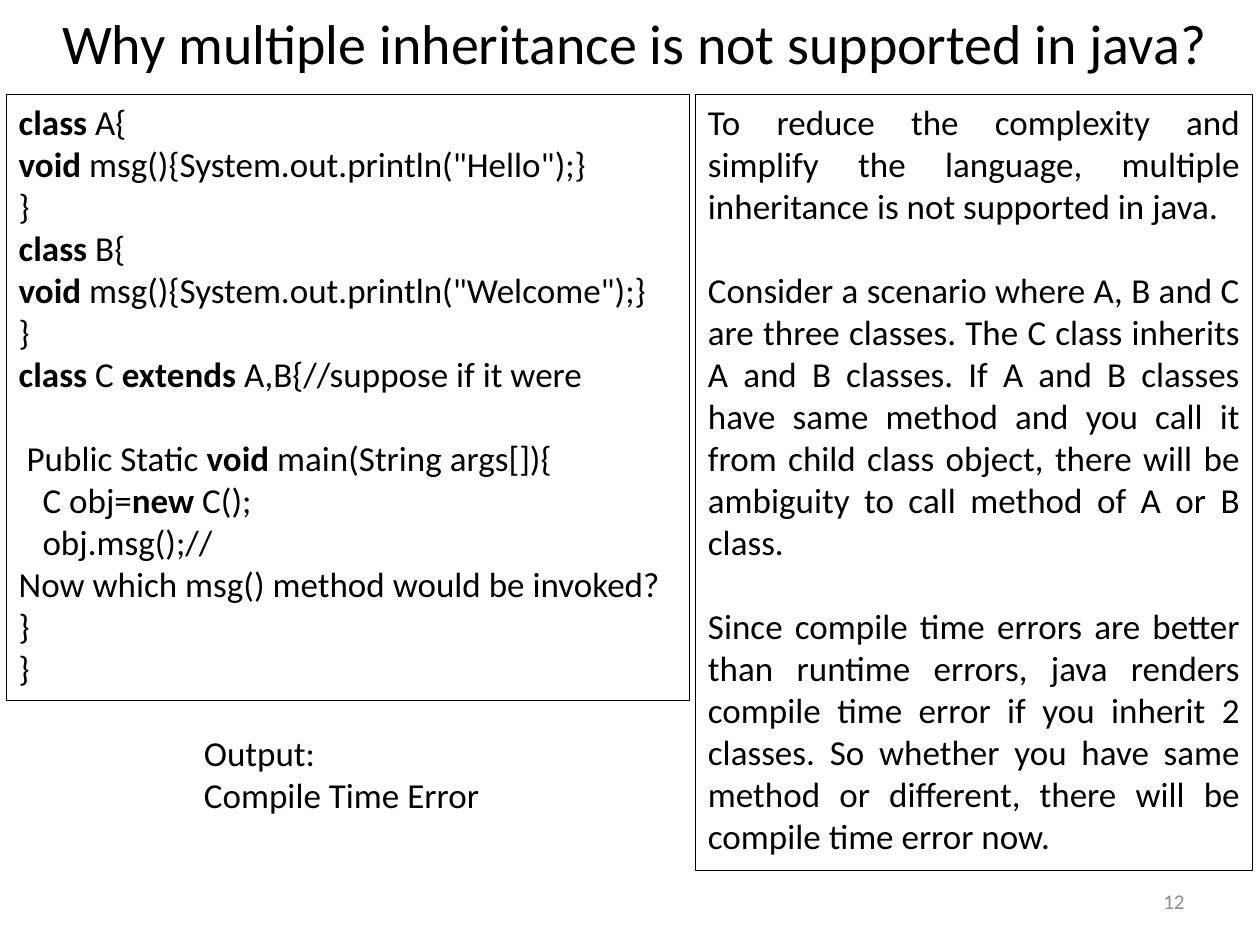
from dataclasses import dataclass

from pptx import Presentation
from pptx.dml.color import RGBColor
from pptx.enum.text import MSO_ANCHOR, PP_ALIGN
from pptx.util import Inches, Pt

BLACK = RGBColor(0x00, 0x00, 0x00)
GRAY = RGBColor(0x8C, 0x8C, 0x8C)
LEFT, CENTER, RIGHT, JUSTIFY = PP_ALIGN.LEFT, PP_ALIGN.CENTER, PP_ALIGN.RIGHT, PP_ALIGN.JUSTIFY
TOP, MIDDLE = MSO_ANCHOR.TOP, MSO_ANCHOR.MIDDLE
FONT = "Calibri"
BLANK_LINE = Pt(24)
SPACE_WIDTH = Inches(0.063)
NBSP = "\u00a0"
KEYWORD_MARK = "*"


@dataclass(frozen=True)
class Area:
    left: float
    top: float
    width: float
    height: float


@dataclass(frozen=True)
class Line:
    text: str
    indent: int = 0
    gap: bool = False


@dataclass(frozen=True)
class Panel:
    area: Area
    lines: tuple[Line, ...]
    align: PP_ALIGN = LEFT
    anchor: MSO_ANCHOR = TOP
    size: int = 20
    color: RGBColor = BLACK
    framed: bool = False
    wrap: bool = True
    code: bool = False


deck = Presentation()
deck.slide_width, deck.slide_height = Inches(10), Inches(7.5)
slide = deck.slides.add_slide(deck.slide_layouts[5])


def place(shape, area: Area) -> None:
    shape.left = round(deck.slide_width * area.left)
    shape.top = round(deck.slide_height * area.top)
    shape.width = round(deck.slide_width * area.width)
    shape.height = round(deck.slide_height * area.height)


def write_line(paragraph, line: Line, panel: Panel) -> None:
    paragraph.alignment = panel.align
    paragraph.font.name = FONT
    paragraph.font.size = Pt(panel.size)
    paragraph.font.color.rgb = panel.color
    if line.gap:
        paragraph.space_before = BLANK_LINE
    if line.indent:
        properties = paragraph._p.get_or_add_pPr()
        properties.set("marL", "0")
        properties.set("indent", str(line.indent * SPACE_WIDTH))
    text = line.text.replace(" ", NBSP) if panel.code else line.text
    for position, part in enumerate(text.split(KEYWORD_MARK)):
        if part:
            run = paragraph.add_run()
            run.text = part
            if position % 2:
                run.font.bold = True


def fill_panel(shape, panel: Panel) -> None:
    place(shape, panel.area)
    frame = shape.text_frame
    frame.word_wrap = panel.wrap
    frame.vertical_anchor = panel.anchor
    if panel.framed:
        shape.line.color.rgb = BLACK
        shape.line.width = Pt(0.75)
    for position, line in enumerate(panel.lines):
        paragraph = frame.add_paragraph() if position else frame.paragraphs[0]
        write_line(paragraph, line, panel)


title = Panel(
    Area(0.033, 0.003, 0.942, 0.083),
    (Line("Why multiple inheritance is not supported in java?"),),
    align=CENTER, anchor=MIDDLE, size=32,
)
code_listing = Panel(
    Area(0.005, 0.1, 0.542, 0.641),
    (
        Line("*class* A{"),
        Line('*void* msg(){System.out.println("Hello");}'),
        Line("}"),
        Line("*class* B{"),
        Line('*void* msg(){System.out.println("Welcome");}'),
        Line("}"),
        Line("*class* C *extends* A,B{//suppose if it were"),
        Line("Public Static *void* main(String args[]){", indent=1, gap=True),
        Line("C obj=*new* C();", indent=3),
        Line("obj.msg();//Now which msg() method would be invoked?", indent=3),
        Line("}"),
        Line("}"),
    ),
    framed=True, code=True,
)
explanation = Panel(
    Area(0.552, 0.1, 0.442, 0.821),
    (
        Line("To reduce the complexity and simplify the language, multiple "
             "inheritance is not supported in java."),
        Line("Consider a scenario where A, B and C are three classes. The C class "
             "inherits A and B classes. If A and B classes have same method and you "
             "call it from child class object, there will be ambiguity to call "
             "method of A or B class.", gap=True),
        Line("Since compile time errors are better than runtime errors, java renders "
             "compile time error if you inherit 2 classes. So whether you have same "
             "method or different, there will be compile time error now.", gap=True),
    ),
    align=JUSTIFY, framed=True,
)
output = Panel(
    Area(0.152, 0.767, 0.247, 0.103),
    (Line("Output:"), Line("Compile Time Error")),
    align=JUSTIFY, anchor=MIDDLE,
)
page_number = Panel(
    Area(0.717, 0.927, 0.233, 0.053),
    (Line("12"),),
    align=RIGHT, anchor=MIDDLE, size=12, color=GRAY,
)

fill_panel(slide.shapes.title, title)
for panel in (code_listing, explanation, output, page_number):
    fill_panel(slide.shapes.add_textbox(0, 0, 0, 0), panel)

deck.save("out.pptx")
